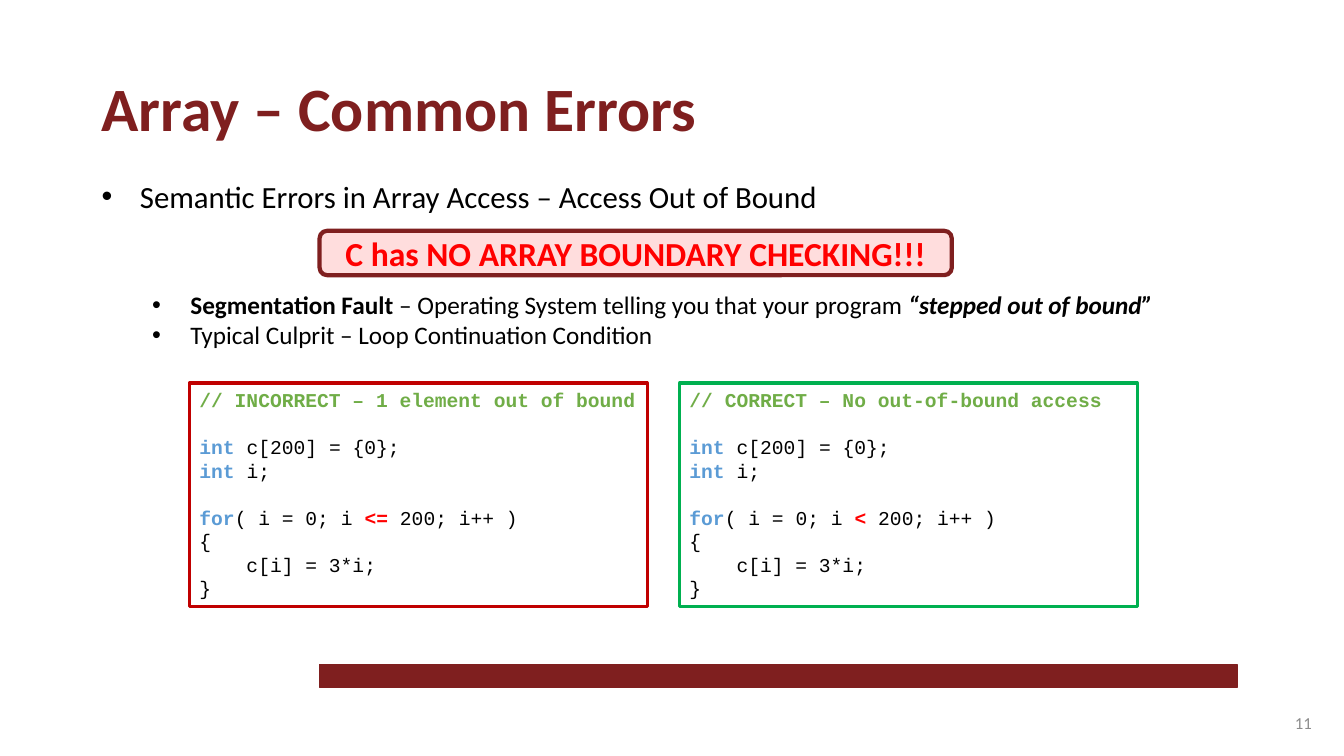
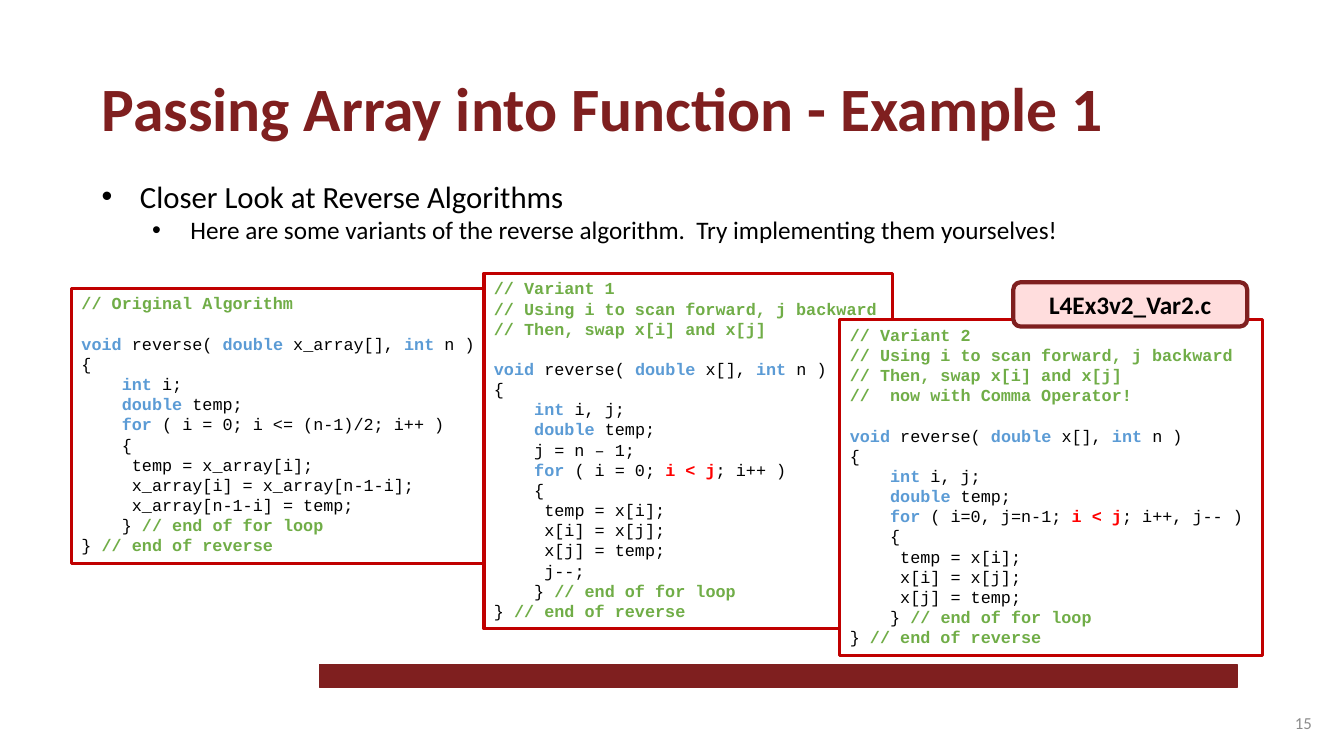
from lxml import etree
from pptx import Presentation
from pptx.dml.color import RGBColor
from pptx.enum.shapes import MSO_SHAPE
from pptx.enum.text import MSO_ANCHOR, MSO_AUTO_SIZE, PP_ALIGN
from pptx.oxml.ns import qn
from pptx.util import Inches, Pt

RECT, ROUND = MSO_SHAPE.RECTANGLE, MSO_SHAPE.ROUNDED_RECTANGLE
TOP, MIDDLE = MSO_ANCHOR.TOP, MSO_ANCHOR.MIDDLE
LEFT, CENTER, RIGHT = PP_ALIGN.LEFT, PP_ALIGN.CENTER, PP_ALIGN.RIGHT
GROW = MSO_AUTO_SIZE.SHAPE_TO_FIT_TEXT

MAROON, PINK, WHITE, BLACK = "7F1F1F", "FFDDDD", "FFFFFF", "000000"
CRIMSON, RED, GREEN = "C00000", "FF0000", "00B050"
BLUE, OLIVE, GREY = "5B9BD5", "70AD47", "8C8C8C"
SANS, MONO = "Calibri", "Courier New"
KEYS = ("void", "double", "int", "for")


def color(code):
    return RGBColor.from_string(code)


def tokens(line, hot):
    code, slash, note = line.partition("//")
    tints = dict.fromkeys(KEYS, BLUE)
    if hot:
        tints[hot] = RED
    for word in tints:
        code = code.replace(word, f"|{word}|")
    parts = [(part, tints.get(part, BLACK)) for part in code.split("|")]
    return [part for part in parts + [(slash + note, OLIVE)] if part[0]]


class Deck:
    """Holds the shared style and the current slide."""

    def __init__(self):
        self.file = Presentation()
        self.file.slide_width = Inches(13.33)
        self.file.slide_height = Inches(7.5)

    def page(self, title, width, number):
        self.slide = self.file.slides.add_slide(self.file.slide_layouts[6])
        self.shape(RECT, (3.17, 6.59, 9.1, 0.23), MAROON, MAROON, 1)
        frame = self.text((0.91, 0.64, width, 0.84))
        frame.word_wrap = False
        frame.auto_size = GROW
        self.run(frame.paragraphs[0], title, 44, MAROON, bold=True)
        frame = self.text((10.11, 6.97, 3, 0.4), MIDDLE)
        frame.paragraphs[0].alignment = RIGHT
        self.run(frame.paragraphs[0], number, 12, GREY)

    def shape(self, kind, area, fill, edge, weight):
        item = self.slide.shapes.add_shape(kind, *map(Inches, area))
        item.shadow.inherit = False
        item.fill.solid()
        item.fill.fore_color.rgb = color(fill)
        item.line.color.rgb = color(edge)
        item.line.width = Pt(weight)
        return item.text_frame

    def text(self, area, anchor=TOP):
        frame = self.slide.shapes.add_textbox(*map(Inches, area)).text_frame
        frame.word_wrap = True
        frame.vertical_anchor = anchor
        return frame

    def run(self, para, text, size, tint=BLACK, bold=False, slant=False, face=SANS):
        run = para.add_run()
        run.text = text
        font = run.font
        font.name, font.size, font.bold, font.italic = face, Pt(size), bold, slant
        font.color.rgb = color(tint)

    def paras(self, frame, count):
        for _ in range(count - 1):
            frame.add_paragraph()
        return frame.paragraphs

    def bullets(self, area, items):
        frame = self.text(area)
        for para, (level, gap, runs) in zip(self.paras(frame, len(items)), items):
            para.level = level
            para.space_before = Pt(gap)
            props = para._p.get_or_add_pPr()
            props.set("marL", str(Inches(0.38 + 0.5 * level)))
            props.set("indent", str(Inches(-0.38)))
            etree.SubElement(props, qn("a:buFont")).set("typeface", "Arial")
            etree.SubElement(props, qn("a:buChar")).set("char", "•")
            for text, bold, slant in runs:
                self.run(para, text, 18 if level else 22, BLACK, bold, slant)

    def badge(self, area, text, size, tint):
        frame = self.shape(ROUND, area, PINK, MAROON, 3)
        frame.vertical_anchor = MIDDLE
        frame.paragraphs[0].alignment = CENTER
        self.run(frame.paragraphs[0], text, size, tint, bold=True)

    def code(self, area, blocks, size, edge=CRIMSON, hot=None):
        frame = self.shape(RECT, area, WHITE, edge, 2.25)
        frame.vertical_anchor = TOP
        frame.word_wrap = True
        lines = [(line, bool(block) and not row)
                 for block, group in enumerate(blocks)
                 for row, line in enumerate(group)]
        for para, (line, gap) in zip(self.paras(frame, len(lines)), lines):
            para.alignment = LEFT
            para.space_before = Pt(size * 1.2 if gap else 0)
            for text, tint in tokens(line, hot):
                self.run(para, text, size, tint, tint != BLACK, face=MONO)


def access(note, sign):
    return [
        [f"// {note}"],
        ["int c[200] = {0};", "int i;"],
        [f"for( i = 0; i {sign} 200; i++ )", "{", "    c[i] = 3*i;", "}"],
    ]


def reverse(notes, name, names, setup, loop, body):
    return [
        [f"// {note}" for note in notes],
        [f"void reverse( double {name}[], int n )", "{",
         f"    int {names};", "    double temp;", *setup,
         f"    for ( {loop} )", "    {",
         *[f"\t{step};" for step in body],
         "    } // end of for loop", "} // end of reverse"],
    ]


def main():
    deck = Deck()

    deck.page("Array – Common Errors", 6.16, "11")
    deck.bullets((0.91, 1.71, 11.21, 2.19), [
        (0, 0, [("Semantic Errors in Array Access – Access Out of Bound", False, False)]),
        (1, 53.7, [("Segmentation Fault ", True, False),
                   ("– Operating System telling you that your program ", False, False),
                   ("“stepped out of bound”", True, True)]),
        (1, 0, [("Typical Culprit – Loop Continuation Condition", False, False)]),
    ])
    deck.badge((3.17, 2.29, 6.27, 0.44), "C has NO ARRAY BOUNDARY CHECKING!!!", 24, RED)
    for left, note, sign, edge in (
        (1.88, "INCORRECT – 1 element out of bound", "<=", CRIMSON),
        (6.74, "CORRECT – No out-of-bound access", "<", GREEN),
    ):
        deck.code((left, 3.8, 4.54, 2.22), access(note, sign), 14, edge, sign)

    deck.page("Passing Array into Function - Example 1", 10.5, "15")
    deck.bullets((0.91, 1.71, 11.35, 0.77), [
        (0, 0, [("Closer Look at Reverse Algorithms", False, False)]),
        (1, 0, [("Here are some variants of the reverse algorithm.  "
                 "Try implementing them yourselves!", False, False)]),
    ])
    hints = ["Using i to scan forward, j backward", "Then, swap x[i] and x[j]"]
    swap = ["temp = x[i]", "x[i] = x[j]", "x[j] = temp"]
    deck.code((0.71, 2.86, 4.19, 2.73), reverse(
        ["Original Algorithm"], "x_array", "i", [], "i = 0; i <= (n-1)/2; i++",
        ["temp = x_array[i]", "x_array[i] = x_array[n-1-i]", "x_array[n-1-i] = temp"]), 12)
    deck.code((4.8, 2.71, 4.05, 3.53), reverse(
        ["Variant 1", *hints], "x", "i, j", ["    j = n – 1;"],
        "i = 0; i < j; i++", [*swap, "j--"]), 12, hot="i < j")
    deck.code((8.33, 3.17, 4.19, 3.33), reverse(
        ["Variant 2", *hints, " now with Comma Operator!"], "x", "i, j", [],
        "i=0, j=n-1; i < j; i++, j--", swap), 12, hot="i < j")
    deck.badge((10.05, 2.8, 2.32, 0.44), "L4Ex3v2_Var2.c", 18, BLACK)

    deck.file.save("out.pptx")


if __name__ == "__main__":
    main()
